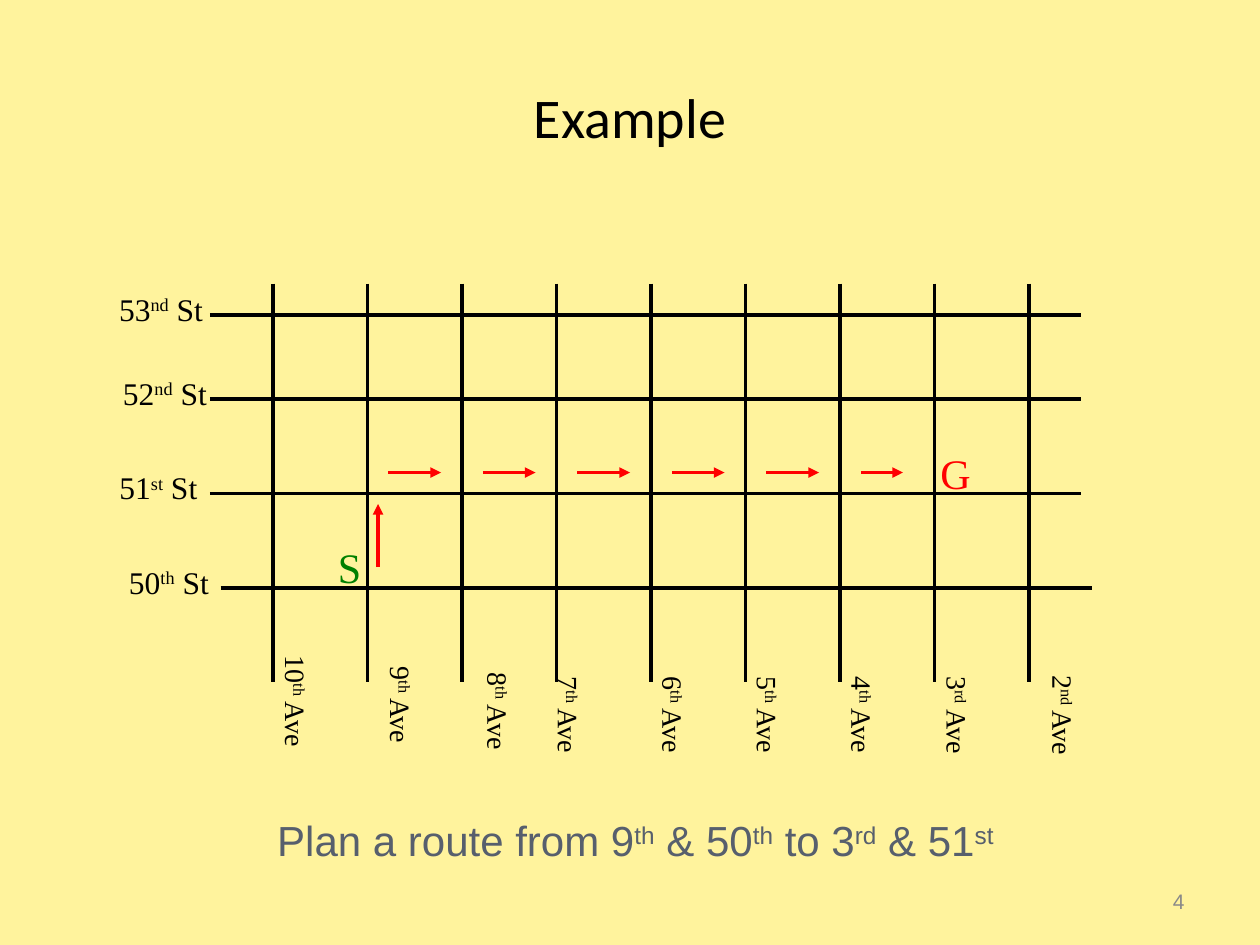
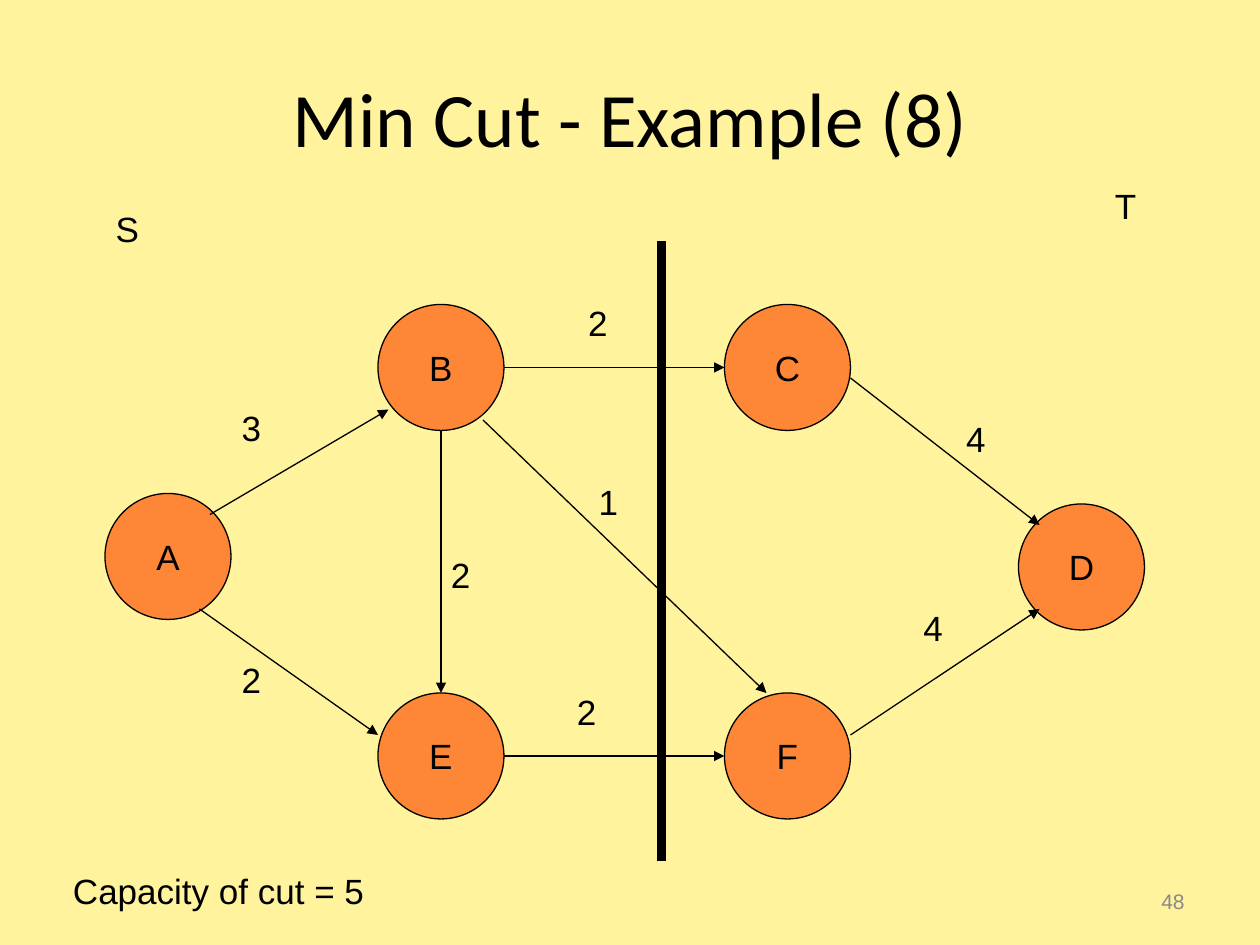
from pptx import Presentation
from pptx.dml.color import RGBColor
from pptx.enum.shapes import MSO_CONNECTOR, MSO_SHAPE
from pptx.enum.text import MSO_ANCHOR, PP_ALIGN
from pptx.oxml.ns import qn
from pptx.util import Pt
from lxml import etree

# Shared look
LEFT, CENTER, RIGHT = PP_ALIGN.LEFT, PP_ALIGN.CENTER, PP_ALIGN.RIGHT
TOP, MIDDLE = MSO_ANCHOR.TOP, MSO_ANCHOR.MIDDLE
STRAIGHT, OVAL = MSO_CONNECTOR.STRAIGHT, MSO_SHAPE.OVAL
SANS, SERIF, HEADING = "Arial", "Times New Roman", "Calibri"
PAPER, BLACK, RED, GREEN = "FFF39D", "000000", "FF0000", "008000"
ORANGE, SLATE, GRAY = "FE8637", "575F6D", "898989"


def rgb(hex_color):
    return RGBColor.from_string(hex_color)


def write(sp, text, size, font, color, align, anchor, wrap):
    """Fill a shape with one paragraph; text between ^ marks is superscript."""
    tf = sp.text_frame
    tf.word_wrap = wrap
    tf.vertical_anchor = anchor
    p = tf.paragraphs[0]
    p.alignment = align
    for i, part in enumerate(text.split("^")):
        r = p.add_run()
        r.text = part
        r.font.size = Pt(size)
        r.font.name = font
        r.font.color.rgb = rgb(color)
        if i % 2:
            r.font._element.set("baseline", "30000")


def add_text(slide, box, text, size, font=SANS, color=BLACK, align=LEFT,
             anchor=TOP, wrap=False, rotation=0):
    sp = slide.shapes.add_textbox(*map(Pt, box))
    sp.rotation = rotation
    write(sp, text, size, font, color, align, anchor, wrap)


def add_road_label(slide, cx, cy, text, size, rotation=0):
    """Centre a one-line road name on a point."""
    width, height = 76, size * 1.2 + 7.2
    add_text(slide, (cx - width / 2, cy - height / 2, width, height), text, size,
             SERIF, align=CENTER, rotation=rotation)


def add_line(slide, x1, y1, x2, y2, color=BLACK, width=2, arrow=False):
    line = slide.shapes.add_connector(STRAIGHT, Pt(x1), Pt(y1), Pt(x2), Pt(y2))
    line.line.color.rgb = rgb(color)
    line.line.width = Pt(width)
    if arrow:
        etree.SubElement(line.line._get_or_add_ln(), qn("a:tailEnd"), type="triangle")
    etree.SubElement(line._element.spPr, qn("a:effectLst"))


def add_node(slide, name, x, y):
    sp = slide.shapes.add_shape(OVAL, Pt(x), Pt(y), Pt(72), Pt(72))
    sp.shadow.inherit = False
    sp.fill.solid()
    sp.fill.fore_color.rgb = rgb(ORANGE)
    sp.line.color.rgb = rgb(BLACK)
    sp.line.width = Pt(0.75)
    write(sp, name, 20, SANS, BLACK, CENTER, MIDDLE, False)


def new_slide(prs, title, title_size, number):
    slide = prs.slides.add_slide(prs.slide_layouts[6])
    slide.background.fill.solid()
    slide.background.fill.fore_color.rgb = rgb(PAPER)
    add_text(slide, (36, 21.6, 648, 90), title, title_size, HEADING,
             align=CENTER, anchor=MIDDLE, wrap=True)
    add_text(slide, (516, 500.5, 168, 28.8), number, 12, color=GRAY,
             align=RIGHT, anchor=MIDDLE, wrap=True)
    return slide


def street_map_slide(prs):
    slide = new_slide(prs, "Example", 32, "4")
    first_avenue, block = 156, 54

    # Avenues: label, centre of the label
    avenues = [("10^th^", 169.2, 400.7), ("9^th^", 229.3, 402.8),
               ("8^th^", 284.8, 406.4), ("7^th^", 325.1, 408.6),
               ("6^th^", 384.8, 408.6), ("5^th^", 438.8, 408.6),
               ("4^th^", 492.8, 408.6), ("3^rd^", 547.2, 408.6),
               ("2^nd^", 607.7, 408.6)]
    for i, (name, cx, cy) in enumerate(avenues):
        x = first_avenue + i * block
        add_line(slide, x, 162, x, 390)
        add_road_label(slide, cx, cy, name + " Ave", 16, rotation=90)

    # Streets: label, centre of the label, left and height of the line
    streets = [("53^nd^", 92, 120, 180), ("52^nd^", 94.2, 120, 228),
               ("51^st^", 90.5, 120, 282), ("50^th^", 96.5, 126, 336)]
    for name, cx, x, y in streets:
        add_line(slide, x, y, x + 498, y)
        add_road_label(slide, cx, y - 3.6, name + " St", 18)

    # Route from start to goal
    add_text(slide, (186, 306, 27.4, 36), "S", 24, SERIF, GREEN, CENTER)
    add_text(slide, (528, 252, 36, 36), "G", 24, SERIF, RED, CENTER, wrap=True)
    add_line(slide, 216, 324, 216, 288, RED, arrow=True)
    for i in range(6):
        x = 222 + i * block
        add_line(slide, x, 270, min(x + 30, 516), 270, RED, arrow=True)

    add_text(slide, (29, 462, 672, 36),
             "Plan a route from 9^th^ & 50^th^ to 3^rd^ & 51^st ^", 24,
             color=SLATE, align=CENTER, wrap=True)


def min_cut_slide(prs):
    slide = new_slide(prs, "Min Cut - Example (8)", 44, "48")

    # Nodes
    nodes = {"A": (60, 282), "B": (216, 174), "C": (414, 174),
             "D": (582, 288), "F": (414, 396), "E": (216, 396)}
    for name, (x, y) in nodes.items():
        add_node(slide, name, x, y)

    # Edges: ends, capacity, place of the capacity
    edges = [((120, 294, 222, 234), "3", 131, 229),
             ((288, 210, 414, 210), "2", 329, 169),
             ((486, 216, 594, 300), "4", 545, 235),
             ((114, 348, 216, 420), "2", 131, 373),
             ((288, 432, 414, 432), "2", 322.5, 391),
             ((486, 420, 594, 348), "4", 520.5, 343),
             ((276, 240, 438, 396), "1", 335, 271),
             ((252, 246, 252, 396), "2", 250.5, 313)]
    for ends, capacity, x, y in edges:
        add_line(slide, *ends, width=0.75, arrow=True)
        add_text(slide, (x, y, 25.2, 31.7), capacity, 20)

    # Cut and its two sides
    add_line(slide, 378, 138, 378, 492, width=5)
    add_text(slide, (59, 115.2, 27.4, 31.7), "S", 20)
    add_text(slide, (630, 102, 26.6, 31.7), "T", 20)
    add_text(slide, (34.6, 493.2, 180.7, 31.7), "Capacity of cut = 5", 20)


def main():
    prs = Presentation()
    prs.slide_width, prs.slide_height = Pt(720), Pt(540)
    street_map_slide(prs)
    min_cut_slide(prs)
    prs.save("out.pptx")


if __name__ == "__main__":
    main()
